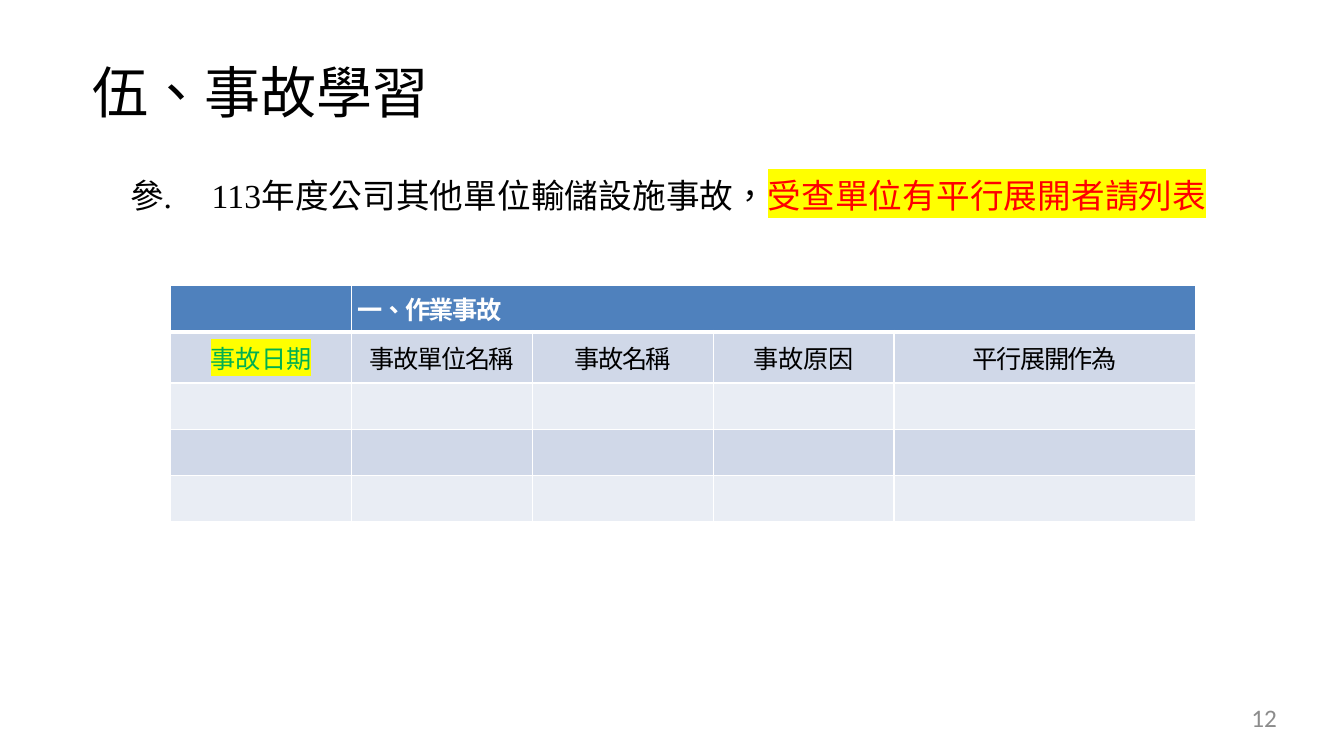
from dataclasses import dataclass, field

from lxml import etree
from pptx import Presentation, util as u
from pptx.dml import color
from pptx.enum import text
from pptx.oxml import ns

SERIF, SANS, NUMBER = "Times New Roman", "Noto Sans CJK SC", "Calibri"
BLACK, WHITE, RED, GREEN, GREY = "000000", "FFFFFF", "FF0000", "00B050", "8C8C8C"
YELLOW, HEADER, DARK_BAND, LIGHT_BAND = "FFFF00", "4F81BD", "D0D8E8", "E9EDF4"


@dataclass
class Words:
    content: str
    size: float
    font: str
    colour: str = BLACK
    highlight: str = ""
    spacing: float = 0
    bold: bool = False


@dataclass
class TextBox:
    left: float
    top: float
    width: float
    height: float
    words: list[Words]
    align: text.PP_ALIGN = text.PP_ALIGN.LEFT
    paragraph_format: dict[str, str] = field(default_factory=dict)
    numbering: dict[str, str] = field(default_factory=dict)


def rgb(value: str) -> color.RGBColor:
    return color.RGBColor.from_string(value)


def add_child(parent, tag: str, **attributes: str):
    child = etree.SubElement(parent, ns.qn(tag))
    for name, value in attributes.items():
        child.set(name, value)
    return child


def write(paragraph, words: Words) -> None:
    run = paragraph.add_run()
    run.text = words.content
    run.font.fill.solid()
    run.font.fill.fore_color.rgb = rgb(words.colour)
    properties = run.font._element
    properties.set("lang", "zh-TW")
    properties.set("spc", str(round(words.spacing * 100)))
    if words.highlight:
        add_child(add_child(properties, "a:highlight"), "a:srgbClr", val=words.highlight)
    font_format = {"size": u.Pt(words.size), "bold": words.bold, "name": words.font}
    for name, value in font_format.items():
        setattr(run.font, name, value)
    if words.font == SANS:
        add_child(properties, "a:ea", typeface=SANS)


def add_text_box(slide, box: TextBox) -> None:
    shape = slide.shapes.add_textbox(*map(u.Pt, (box.left, box.top, box.width, box.height)))
    frame = shape.text_frame
    frame_format = {
        "word_wrap": True,
        "auto_size": text.MSO_AUTO_SIZE.SHAPE_TO_FIT_TEXT,
        "margin_left": 0, "margin_top": 0, "margin_right": 0, "margin_bottom": 0,
    }
    for name, value in frame_format.items():
        setattr(frame, name, value)
    paragraph = frame.paragraphs[0]
    paragraph.alignment = box.align
    properties = paragraph._p.get_or_add_pPr()
    for name, value in box.paragraph_format.items():
        properties.set(name, value)
    if box.numbering:
        add_child(properties, "a:buFont", typeface=SERIF)
        add_child(properties, "a:buAutoNum", **box.numbering)
    for words in box.words:
        write(paragraph, words)


def style_cell(cell, fill: str, bottom_line: float) -> None:
    """Set the margins, white borders and fill of a cell."""
    cell_format = {
        "vertical_anchor": text.MSO_ANCHOR.MIDDLE,
        "margin_left": u.Pt(4.3), "margin_right": u.Pt(4.3),
        "margin_top": u.Pt(2.2), "margin_bottom": u.Pt(2.2),
    }
    for name, value in cell_format.items():
        setattr(cell, name, value)
    properties = cell._tc.get_or_add_tcPr()
    for side, width in {"L": 1, "R": 1, "T": 1, "B": bottom_line}.items():
        line = add_child(properties, f"a:ln{side}", w=str(u.Pt(width)))
        add_child(add_child(line, "a:solidFill"), "a:srgbClr", val=WHITE)
    cell.fill.solid()
    cell.fill.fore_color.rgb = rgb(fill)


def add_accident_table(slide) -> None:
    widths = [129.2] * 4 + [215.3]
    heights = [33.1, 36.7] + [33.1] * 3
    fills = [HEADER, DARK_BAND, LIGHT_BAND, DARK_BAND, LIGHT_BAND]
    frame = slide.shapes.add_table(
        len(heights), len(widths), u.Pt(121.9), u.Pt(203.8),
        u.Pt(sum(widths)), u.Pt(sum(heights)))
    table = frame.table
    table.first_row = table.horz_banding = False
    for column, width in zip(table.columns, widths):
        column.width = u.Pt(width)
    for row_index, (row, height, fill) in enumerate(zip(table.rows, heights, fills)):
        row.height = u.Pt(height)
        for cell in row.cells:
            style_cell(cell, fill, 3 if row_index == 0 else 1)

    table.cell(0, 1).merge(table.cell(0, 4))
    write(table.cell(0, 1).text_frame.paragraphs[0],
          Words("一、作業事故", 18, SANS, WHITE, spacing=-1, bold=True))
    headings = [
        Words("事故日期", 18, SANS, GREEN, YELLOW),
        Words("事故單位名稱", 18, SANS, spacing=-1),
        Words("事故名稱", 18, SANS, spacing=-1),
        Words("事故原因", 18, SANS),
        Words("平行展開作為", 18, SANS, spacing=-1),
    ]
    for column_index, heading in enumerate(headings):
        paragraph = table.cell(1, column_index).text_frame.paragraphs[0]
        paragraph.alignment = text.PP_ALIGN.CENTER
        write(paragraph, heading)


TITLE = TextBox(64.8, 41, 830.9, 49, [Words("伍、事故學習", 40, SERIF, spacing=0.1)],
                paragraph_format={"marL": str(u.Pt(1.4)), "indent": "0"})
PAGE_NUMBER = TextBox(691.2, 501.8, 221, 21.6, [Words("12", 18, NUMBER, GREY)],
                      text.PP_ALIGN.RIGHT)
TOPIC = TextBox(
    91.4, 124.6, 776.9, 28.8,
    [Words("113年度公司其他單位輸儲設施事故，", 24, SERIF, spacing=0.1),
     Words("受查單位有平行展開者請列表", 24, SERIF, RED, YELLOW, 0.1)],
    paragraph_format={"marL": str(u.Pt(59.8)), "indent": str(u.Pt(-58.3))},
    numbering={"type": "ea1ChtPeriod", "startAt": "3"})


def main() -> None:
    presentation = Presentation()
    presentation.slide_width, presentation.slide_height = u.Pt(960), u.Pt(540)
    slide = presentation.slides.add_slide(presentation.slide_layouts[6])
    add_text_box(slide, TITLE)
    add_accident_table(slide)
    add_text_box(slide, PAGE_NUMBER)
    add_text_box(slide, TOPIC)
    presentation.save("out.pptx")


if __name__ == "__main__":
    main()
